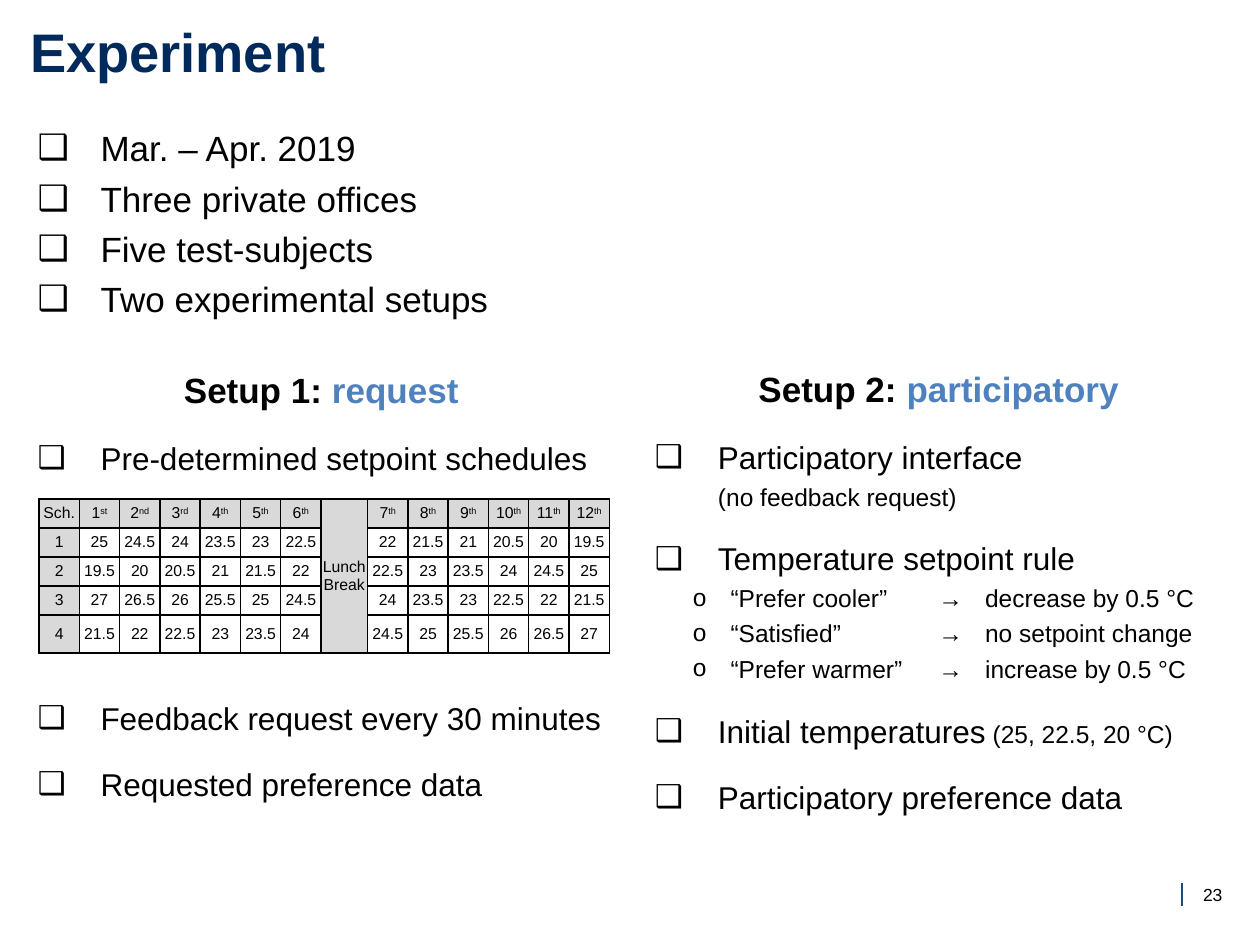
import lxml.etree
import pptx
import pptx.dml.color
import pptx.enum.shapes
import pptx.enum.text
import pptx.oxml.ns
import pptx.util

Inches = pptx.util.Inches
Pt = pptx.util.Pt
ALIGN = pptx.enum.text.PP_ALIGN
MIDDLE = pptx.enum.text.MSO_ANCHOR.MIDDLE
BLACK, NAVY, BLUE, GREY = "000000", "002A5C", "4F81BD", "D9D9D9"


def color(value):
    return pptx.dml.color.RGBColor.from_string(value)


def add_node(parent, tag, **attributes):
    return lxml.etree.SubElement(parent, pptx.oxml.ns.qn(tag), attributes)


deck = pptx.Presentation()
deck.slide_width, deck.slide_height = Inches(10), Inches(7.5)
page = deck.slides.add_slide(deck.slide_layouts[6])

divider = page.shapes.add_connector(
    pptx.enum.shapes.MSO_CONNECTOR.STRAIGHT,
    Inches(9.38), Inches(7.01), Inches(9.38), Inches(7.19))
divider.line.color.rgb = color("1F497D")
divider.line.width = Pt(0.75)
add_node(divider._element.spPr, "a:effectLst")

labels = [
    ("Experiment", 0.14, 0.09, 8.33, 0.63, 31, NAVY, True, ALIGN.LEFT),
    ("23", 9.25, 6.9, 0.55, 0.4, 10, BLACK, False, ALIGN.RIGHT),
]
for text, left, top, width, height, size, ink, bold, align in labels:
    box = page.shapes.add_textbox(Inches(left), Inches(top), Inches(width), Inches(height))
    box.text_frame.word_wrap = True
    box.text_frame.vertical_anchor = MIDDLE
    box.text_frame.text = text
    para = box.text_frame.paragraphs[0]
    para.alignment = align
    font = para.runs[0].font
    font.name, font.size, font.bold = "Arial", Pt(size), bold
    font.color.rgb = color(ink)

overview = [
    ("item", 0, 0, [(text, 20, BLACK, False)])
    for text in ("Mar. – Apr. 2019", "Three private offices",
                 "Five test-subjects", "Two experimental setups")
]
request_setup = [
    ("heading", 0, 12, [("Setup 1: ", 20, BLACK, True), ("request", 20, BLUE, True)]),
    ("item", 0, 12, [("Pre-determined setpoint schedules", 18, BLACK, False)]),
    ("item", 110.5, 12, [("Feedback request every 30 minutes", 18, BLACK, False)]),
    ("item", 0, 12, [("Requested preference data", 18, BLACK, False)]),
]
participatory_setup = [
    ("heading", 0, 12, [("Setup 2: ", 20, BLACK, True), ("participatory", 20, BLUE, True)]),
    ("item", 0, 12, [("Participatory interface", 18, BLACK, False), ("\v", 18, BLACK, False),
                     ("(no feedback request)", 14, BLACK, False)]),
    ("item", 0, 0, [("Temperature setpoint rule", 18, BLACK, False)]),
    ("rule", 0, 0, [("“Prefer cooler”\t→\tdecrease by 0.5 °C", 14, BLACK, False)]),
    ("rule", 0, 0, [("“Satisfied”\t→\tno setpoint change", 14, BLACK, False)]),
    ("rule", 0, 12, [("“Prefer warmer”\t→\tincrease by 0.5 °C", 14, BLACK, False)]),
    ("item", 0, 12, [("Initial temperatures", 18, BLACK, False),
                     (" (25, 22.5, 20 °C)", 14, BLACK, False)]),
    ("item", 0, 12, [("Participatory preference data", 18, BLACK, False)]),
]
bullets = {"item": ("❑", 0.5, 0.5, 0, []), "rule": ("o", 0.6, 0.3, 1, [2.25, 2.62])}
text_blocks = [
    (0.2, 0.89, 9.37, 1.68, overview),
    (0.2, 2.81, 4.7, 3.66, request_setup),
    (5.1, 2.8, 4.7, 3.73, participatory_setup),
]
for left, top, width, height, entries in text_blocks:
    box = page.shapes.add_textbox(Inches(left), Inches(top), Inches(width), Inches(height))
    frame = box.text_frame
    frame.word_wrap = True
    frame.auto_size = pptx.enum.text.MSO_AUTO_SIZE.SHAPE_TO_FIT_TEXT
    for index, (kind, before, after, spans) in enumerate(entries):
        para = frame.add_paragraph() if index else frame.paragraphs[0]
        if kind == "heading":
            para.alignment = ALIGN.CENTER
        else:
            mark, margin, hanging, level, stops = bullets[kind]
            para.level = level
            properties = para._p.get_or_add_pPr()
            properties.set("marL", str(Inches(margin)))
            properties.set("indent", str(-Inches(hanging)))
            add_node(add_node(properties, "a:buClr"), "a:srgbClr", val=BLACK)
            add_node(properties, "a:buFont", typeface="Arial")
            add_node(properties, "a:buChar", char=mark)
            if stops:
                tabs = add_node(properties, "a:tabLst")
                for stop in stops:
                    add_node(tabs, "a:tab", pos=str(Inches(stop)), algn="l")
        para.line_spacing = 1.2
        para.space_before, para.space_after = Pt(before), Pt(after)
        for text, size, ink, bold in spans:
            if text == "\v":
                para.add_line_break()
                continue
            span = para.add_run()
            span.text = text
            span.font.name, span.font.size, span.font.bold = "Arial", Pt(size), bold
            span.font.color.rgb = color(ink)

LUNCH = 7
ordinals = ["st", "nd", "rd"] + ["th"] * 9
header = ["Sch."] + [f"{number} {suffix}" for number, suffix in enumerate(ordinals, 1)]
header.insert(LUNCH, "Lunch\nBreak")
schedules = [header]
for number, (start, step) in enumerate([(25, -0.5), (19.5, 0.5), (27, -0.5), (21.5, 0.5)], 1):
    row = [str(number)] + [f"{start + step * period:g}" for period in range(12)]
    row.insert(LUNCH, "")
    schedules.append(row)

table = page.shapes.add_table(
    5, 14, Inches(0.31), Inches(3.96), Inches(4.53), Inches(1.22)).table
table.first_row = table.horz_banding = False
for index, column in enumerate(table.columns):
    column.width = Inches(0.37 if index == LUNCH else 0.32)
for index, row in enumerate(table.rows):
    row.height = Inches(0.3 if index == 4 else 0.23)
table.cell(0, LUNCH).merge(table.cell(4, LUNCH))

for row_index, row in enumerate(schedules):
    for column_index, text in enumerate(row):
        cell = table.cell(row_index, column_index)
        cell.margin_left = cell.margin_right = cell.margin_top = cell.margin_bottom = 0
        cell.vertical_anchor = MIDDLE
        for side in ("a:lnL", "a:lnR", "a:lnT", "a:lnB"):
            border = add_node(cell._tc.get_or_add_tcPr(), side, w=str(Pt(1)))
            add_node(add_node(border, "a:solidFill"), "a:srgbClr", val=BLACK)
        if row_index == 0 or column_index in (0, LUNCH):
            cell.fill.solid()
            cell.fill.fore_color.rgb = color(GREY)
        else:
            cell.fill.background()
        number, _, suffix = text.partition(" ")
        cell.text_frame.text = number
        if suffix:
            span = cell.text_frame.paragraphs[0].add_run()
            span.text = suffix
            span.font._element.set("baseline", "30000")
        for para in cell.text_frame.paragraphs:
            para.alignment = ALIGN.CENTER
            para.font.size = Pt(9)
            for span in para.runs:
                span.font.name, span.font.size = "Arial", Pt(9)
                span.font.color.rgb = color(BLACK)

deck.save("out.pptx")
